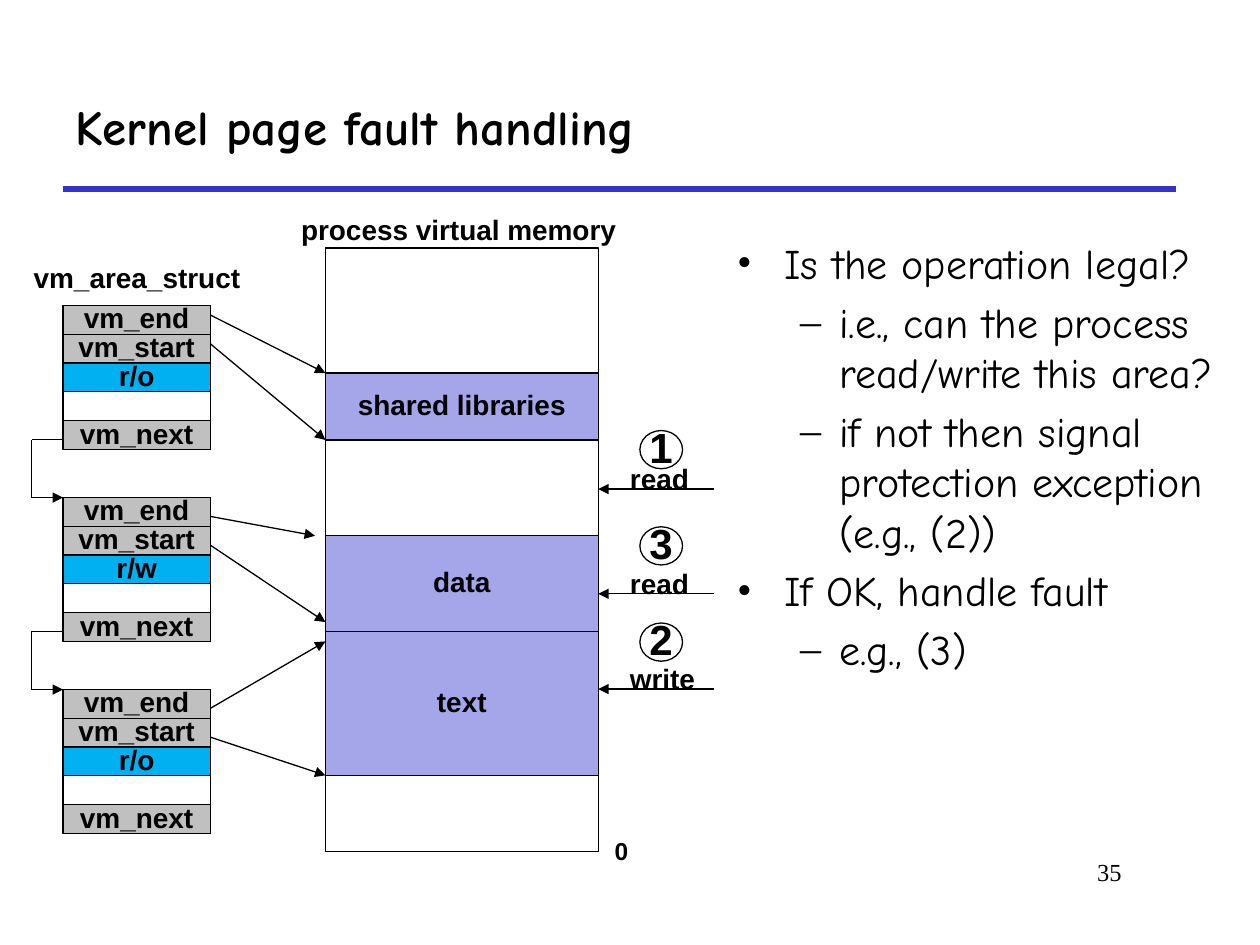
from lxml import etree
from pptx import Presentation
from pptx.dml.color import RGBColor
from pptx.enum.shapes import MSO_CONNECTOR, MSO_SHAPE
from pptx.enum.text import MSO_ANCHOR, MSO_AUTO_SIZE, PP_ALIGN
from pptx.oxml.ns import qn
from pptx.util import Cm, Pt

STRAIGHT = MSO_CONNECTOR.STRAIGHT
RECTANGLE = MSO_SHAPE.RECTANGLE
OVAL = MSO_SHAPE.OVAL
MIDDLE = MSO_ANCHOR.MIDDLE
FIT_SHAPE = MSO_AUTO_SIZE.SHAPE_TO_FIT_TEXT
LEFT = PP_ALIGN.LEFT
CENTER = PP_ALIGN.CENTER
RIGHT = PP_ALIGN.RIGHT
color = RGBColor.from_string

BLACK = "000000"
GRAY = "C0C0C0"
CYAN = "00B0F0"
LAVENDER = "A5A5E9"


def write(paragraph, text, size, name="Arial", bold=True, **paragraph_format):
    for attribute, value in paragraph_format.items():
        setattr(paragraph, attribute, value)
    run = paragraph.add_run()
    run.text = text
    run.font.color.rgb = color(BLACK)
    for attribute, value in {"size": Pt(size), "name": name, "bold": bold}.items():
        setattr(run.font, attribute, value)


def connect(start, end, arrow=None, line_color=BLACK, width=0.75):
    connector = slide.shapes.add_connector(
        STRAIGHT, *(Cm(value) for value in (*start, *end)))
    connector.line.color.rgb = color(line_color)
    connector.line.width = Pt(width)
    if arrow:
        line = connector._element.spPr.find(qn("a:ln"))
        etree.SubElement(line, qn(f"a:{arrow}"), type="triangle")
    etree.SubElement(connector._element.spPr, qn("a:effectLst"))


presentation = Presentation()
presentation.slide_width = Cm(25.4)
presentation.slide_height = Cm(19.05)
slide = presentation.slides.add_slide(presentation.slide_layouts[6])

connect((1.27, 3.81), (23.7, 3.81), line_color="3333CC", width=3)

number = slide.shapes.add_textbox(Cm(19.25), Cm(17.15), Cm(3.61), Cm(1.27)).text_frame
number.word_wrap = True
write(number.paragraphs[0], "35", 14, "Times New Roman", False, alignment=RIGHT)

title = slide.shapes.add_textbox(Cm(1.27), Cm(1.27), Cm(22.43), Cm(2.54)).text_frame
title.word_wrap = True
title.vertical_anchor = MIDDLE
write(title.paragraphs[0], "Kernel page fault handling", 28, "Comic Neue")

body = slide.shapes.add_textbox(Cm(14.61), Cm(4.66), Cm(10.16), Cm(12.93)).text_frame
body.word_wrap = True
bullets = [
    (0, "Is the operation legal?"),
    (1, "i.e., can the process read/write this area?"),
    (1, "if not then signal protection exception (e.g., (2))"),
    (0, "If OK, handle fault"),
    (1, "e.g., (3)"),
]
bullet_formats = [("•", 0.95, -0.95), ("–", 2.06, -0.79)]
for index, (level, text) in enumerate(bullets):
    paragraph = body.add_paragraph() if index else body.paragraphs[0]
    write(paragraph, text, 24, "Comic Neue", False,
          level=level, space_before=Pt(4.8 if index else 0))
    character, margin, indent = bullet_formats[level]
    properties = paragraph._p.get_or_add_pPr()
    properties.set("marL", str(Cm(margin)))
    properties.set("indent", str(Cm(indent)))
    etree.SubElement(properties, qn("a:buFont"), typeface="Times New Roman")
    etree.SubElement(properties, qn("a:buChar"), char=character)

struct_left, struct_width, row_height = 1.27, 2.97, 0.58
struct_right = struct_left + struct_width
struct_tops = [6.16 + 3.87 * index for index in range(3)]
memory_left, memory_width = 6.56, 5.5
memory_right = memory_left + memory_width

blocks = []
for top, access in zip(struct_tops, ["r/o", "r/w", "r/o"]):
    blocks.append((RECTANGLE, struct_left, top + 0.05, struct_width, 2.85, None, "", 16))
    rows = [(0, "vm_end", GRAY), (1, "vm_start", GRAY), (2, access, CYAN), (4, "vm_next", GRAY)]
    for row, text, fill in rows:
        blocks.append((RECTANGLE, struct_left, top + row * row_height,
                       struct_width, row_height, fill, text, 16))

areas = [
    (5, 12.17, None, ""),
    (12.73, 2.9, LAVENDER, "text"),
    (10.8, 1.93, LAVENDER, "data"),
    (7.52, 1.35, LAVENDER, "shared libraries"),
]
for top, height, fill, text in areas:
    blocks.append((RECTANGLE, memory_left, top, memory_width, height, fill, text, 16))

labels = [
    (0.43, 5.21, 4.67, "vm_area_struct", 16),
    (5.82, 4.24, 6.86, "process virtual memory", 16),
    (12.14, 16.79, 0.79, "0", 14),
]
accesses = [("1", "read", 9.86, 1.7), ("3", "read", 11.97, 1.7), ("2", "write", 13.89, 1.85)]
for index, (step, operation, arrow_top, width) in enumerate(accesses):
    blocks.append((OVAL, 12.9, 8.68 + 1.94 * index, 0.86, 0.77, None, step, 24))
    labels.append((12.45, arrow_top - 0.6, width, operation, 16))
    connect((memory_right, arrow_top), (14.4, arrow_top), "headEnd")

for kind, left, top, width, height, fill, text, size in blocks:
    shape = slide.shapes.add_shape(kind, Cm(left), Cm(top), Cm(width), Cm(height))
    shape.shadow.inherit = False
    shape.line.color.rgb = color(BLACK)
    shape.line.width = Pt(0.75)
    if fill:
        shape.fill.solid()
        shape.fill.fore_color.rgb = color(fill)
    else:
        shape.fill.background()
    if text:
        frame_format = {"word_wrap": False, "vertical_anchor": MIDDLE, "margin_left": 0,
                        "margin_right": 0, "margin_top": 0, "margin_bottom": 0}
        for attribute, value in frame_format.items():
            setattr(shape.text_frame, attribute, value)
        write(shape.text_frame.paragraphs[0], text, size, alignment=CENTER, line_spacing=0.9)

for left, top, width, text, size in labels:
    frame = slide.shapes.add_textbox(Cm(left), Cm(top), Cm(width), Cm(0.86)).text_frame
    frame.word_wrap = False
    frame.auto_size = FIT_SHAPE
    write(frame.paragraphs[0], text, size, alignment=LEFT, line_spacing=0.9)

pointers = [
    (6.35, memory_left, 7.52),
    (6.93, memory_left, 8.87),
    (10.41, 6.35, 10.8),
    (10.99, memory_left, 12.54),
    (14.28, memory_left, 12.93),
    (14.86, memory_left, 15.63),
]
for start_top, end_left, end_top in pointers:
    connect((struct_right, start_top), (end_left, end_top), "tailEnd")

link_left = 0.64
for top, next_top in zip(struct_tops, struct_tops[1:]):
    link_top = top + 2.7
    connect((struct_left, link_top), (link_left, link_top))
    connect((link_left, link_top), (link_left, next_top))
    connect((link_left, next_top), (struct_left, next_top), "tailEnd")

presentation.save("out.pptx")
